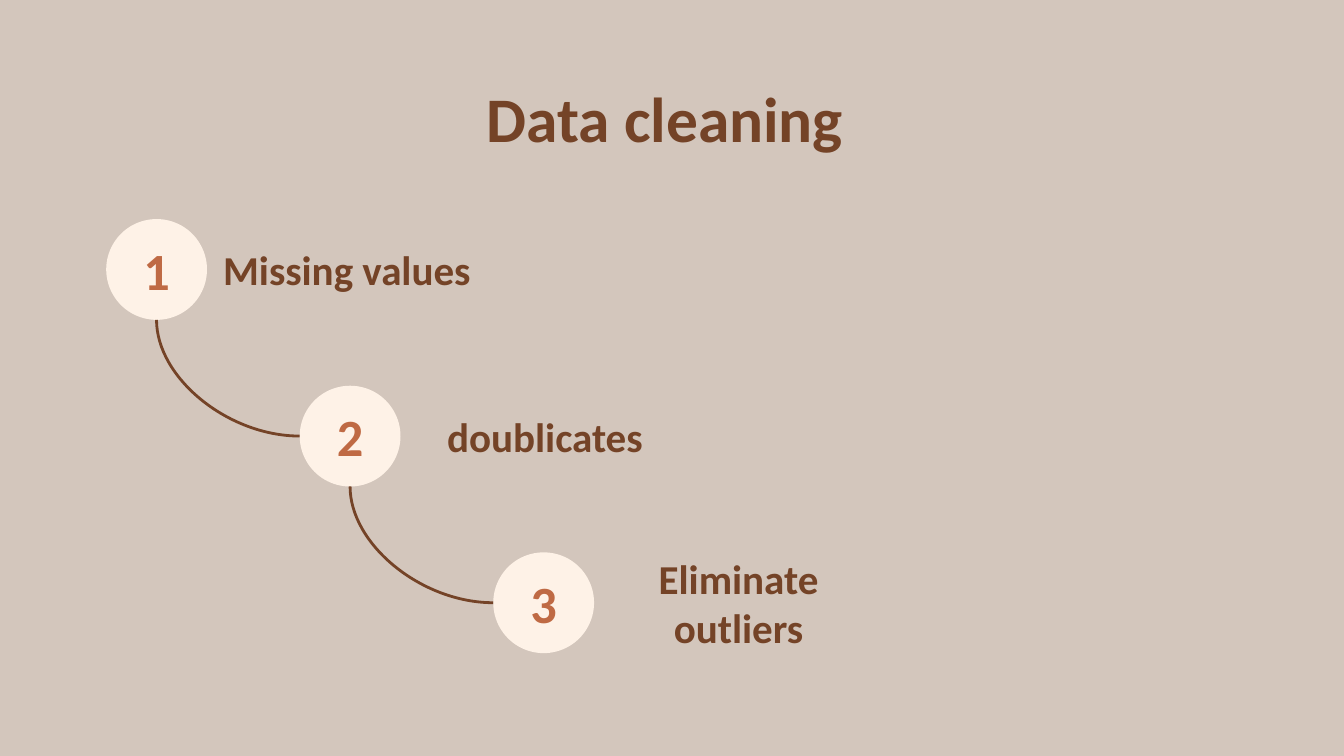
from dataclasses import dataclass

from lxml import etree
from pptx import Presentation
from pptx.dml.color import RGBColor
from pptx.enum.shapes import MSO_CONNECTOR, MSO_SHAPE
from pptx.enum.text import MSO_ANCHOR, PP_ALIGN
from pptx.oxml.ns import qn
from pptx.util import Inches, Pt

CURVE = MSO_CONNECTOR.CURVE
OVAL = MSO_SHAPE.OVAL
TOP, MIDDLE = MSO_ANCHOR.TOP, MSO_ANCHOR.MIDDLE
CENTER = PP_ALIGN.CENTER


@dataclass(frozen=True)
class Theme:
    """Colours, font and type sizes of the deck."""
    background: str = "D3C6BC"
    text: str = "744327"
    disc: str = "FEF2E7"
    number: str = "BF6A44"
    font: str = "Calibri"
    title_size: int = 34
    number_size: int = 28
    label_size: int = 22
    line_width: float = 1.5


def rgb(value):
    """Turn a hex string into a colour."""
    return RGBColor.from_string(value)


def write(sp, text, *, size, color, font, anchor=MIDDLE):
    """Write one bold, centred paragraph into a shape."""
    tf = sp.text_frame
    tf.word_wrap = True
    tf.vertical_anchor = anchor
    tf.margin_left = tf.margin_right = Inches(0.1)
    tf.margin_top = tf.margin_bottom = Inches(0.1)
    p = tf.paragraphs[0]
    p.alignment = CENTER
    r = p.add_run()
    r.text = text
    r.font.name = font
    r.font.size = Pt(size)
    r.font.bold = True
    r.font.color.rgb = rgb(color)


class SlideBuilder:
    """Draws styled elements on the current slide."""

    def __init__(self, slide, theme):
        self.slide = slide
        self.theme = theme

    def background(self):
        """Fill the slide background."""
        fill = self.slide.background.fill
        fill.solid()
        fill.fore_color.rgb = rgb(self.theme.background)

    def title(self, text, x, y, w, h):
        """Place and fill the title placeholder."""
        sp = self.slide.shapes.title
        sp.left, sp.top, sp.width, sp.height = map(Inches, (x, y, w, h))
        write(sp, text, size=self.theme.title_size, color=self.theme.text,
              font=self.theme.font, anchor=TOP)

    def disc(self, text, x, y, size):
        """Draw a numbered disc."""
        sp = self.slide.shapes.add_shape(
            OVAL, Inches(x), Inches(y), Inches(size), Inches(size))
        sp.shadow.inherit = False
        sp.fill.solid()
        sp.fill.fore_color.rgb = rgb(self.theme.disc)
        sp.line.fill.background()
        write(sp, text, size=self.theme.number_size, color=self.theme.number,
              font=self.theme.font)

    def label(self, text, x, y, w, h):
        """Add a step label."""
        sp = self.slide.shapes.add_textbox(*map(Inches, (x, y, w, h)))
        write(sp, text, size=self.theme.label_size, color=self.theme.text,
              font=self.theme.font)

    def curve(self, x1, y1, x2, y2):
        """Draw a quarter curve that leaves sideways and arrives vertically."""
        cxn = self.slide.shapes.add_connector(
            CURVE, *map(Inches, (x1, y1, x2, y2)))
        cxn.line.color.rgb = rgb(self.theme.text)
        cxn.line.width = Pt(self.theme.line_width)
        props = cxn._element.spPr
        props.find(qn("a:prstGeom")).set("prst", "curvedConnector2")
        etree.SubElement(props, qn("a:effectLst"))


def main():
    """Build the data cleaning slide."""
    prs = Presentation()
    prs.slide_width, prs.slide_height = Inches(10), Inches(10 * 9 / 16)
    s = SlideBuilder(prs.slides.add_slide(prs.slide_layouts[5]), Theme())
    s.background()
    s.title("Data cleaning ", 0.79, 0.49, 8.42, 0.74)

    left, top, step_x, step_y, size = 0.79, 1.63, 1.44, 1.24, 0.75
    steps = ["Missing values ", "doublicates", "Eliminate outliers"]
    for i, text in enumerate(steps):
        x, y = left + i * step_x, top + i * step_y
        s.disc(str(i + 1), x, y, size)
        s.label(text, x + size, y - 0.03, 2.15, 0.81)
        if i:
            s.curve(x, y + size / 2,
                    x - step_x + size / 2, y - step_y + size)
    prs.save("out.pptx")


if __name__ == "__main__":
    main()
